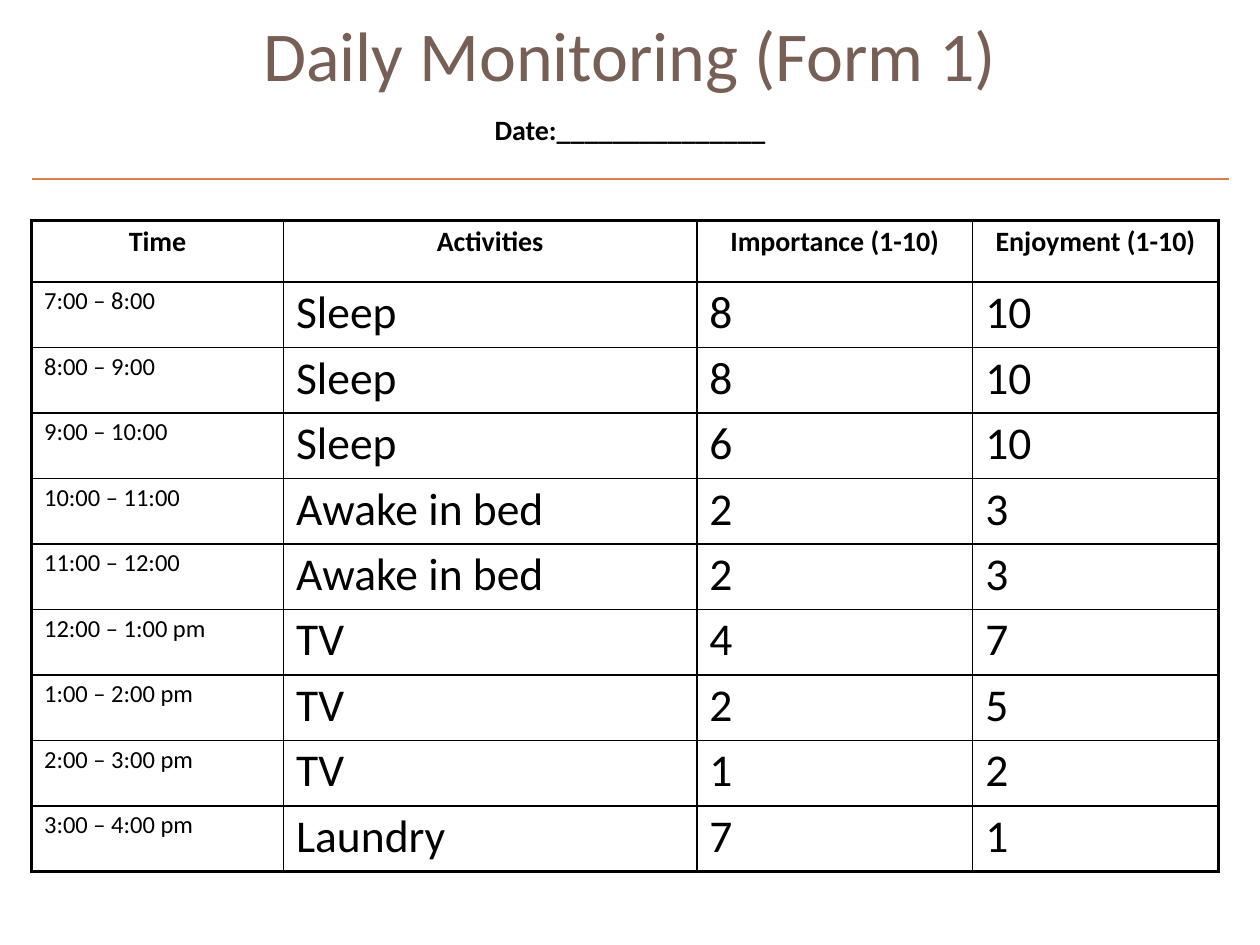
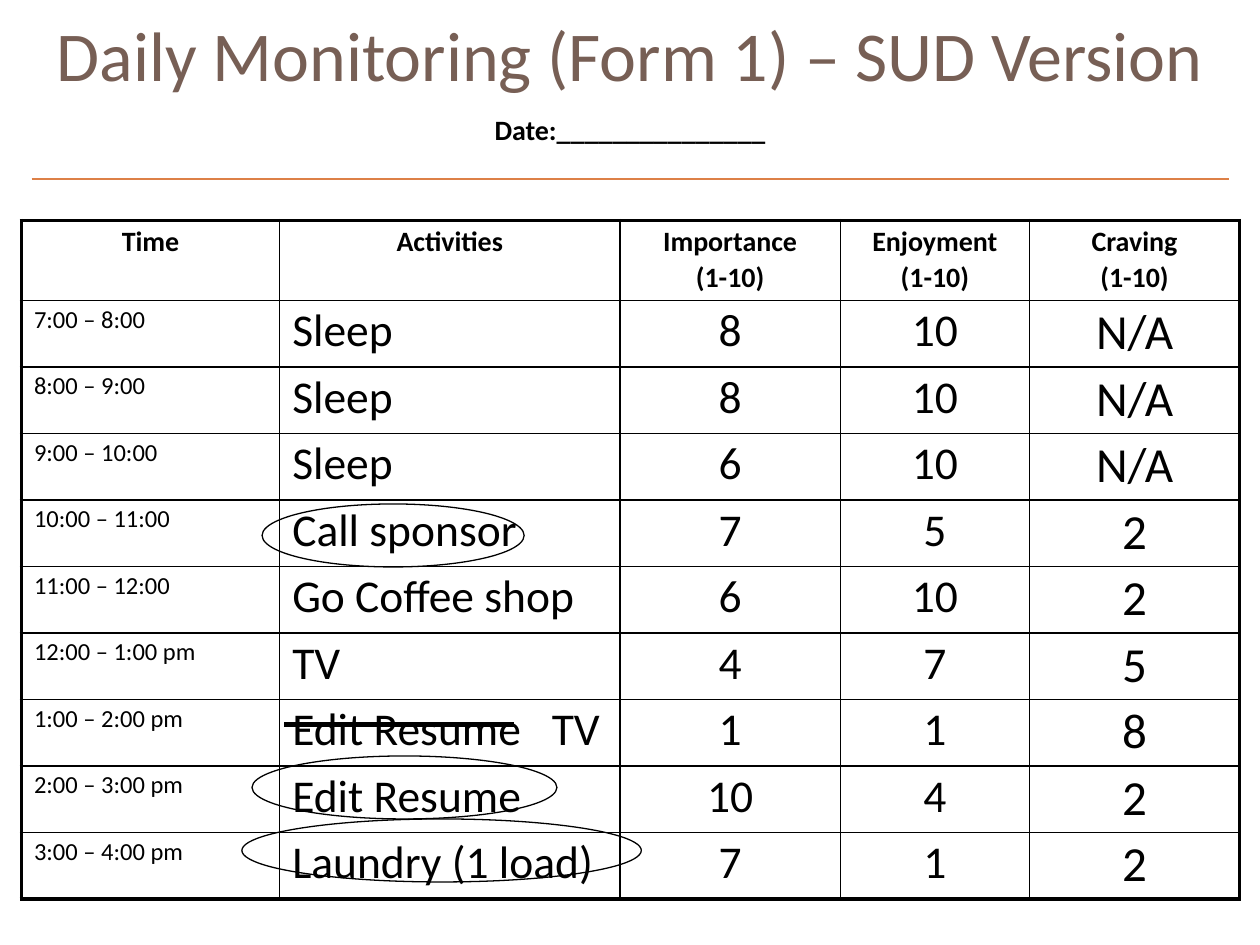
"""Build two daily monitoring forms: a general one and a SUD version."""
from lxml import etree
from pptx import Presentation
from pptx.dml.color import RGBColor
from pptx.enum.shapes import MSO_CONNECTOR, MSO_SHAPE
from pptx.enum.text import MSO_ANCHOR, MSO_AUTO_SIZE, PP_ALIGN
from pptx.oxml.ns import qn
from pptx.util import Inches, Pt

STRAIGHT = MSO_CONNECTOR.STRAIGHT
ELLIPSE = MSO_SHAPE.OVAL
MIDDLE = MSO_ANCHOR.MIDDLE
NO_AUTOFIT = MSO_AUTO_SIZE.NONE
LEFT, CENTER = PP_ALIGN.LEFT, PP_ALIGN.CENTER

COLORS = {"title": "775F55", "ink": "000000", "rule": "DD8047"}
FONT = "Calibri"
TITLE_ONLY_LAYOUT = 5
TABLE_TOP = 1.75
HEADER_HEIGHT, ROW_HEIGHT = 0.49, 0.52
THIN, THICK = 1, 2.25
TV_TAB = 2.06

HOURS = [
    "7:00 – 8:00", "8:00 – 9:00", "9:00 – 10:00", "10:00 – 11:00", "11:00 – 12:00",
    "12:00 – 1:00 pm", "1:00 – 2:00 pm", "2:00 – 3:00 pm", "3:00 – 4:00 pm",
]

GENERAL_FORM = {
    "title": "Daily Monitoring (Form 1)",
    "left": 0.25,
    "widths": [2, 3.28, 2.19, 1.95],
    "headers": ["Time", "Activities", "Importance (1-10)", "Enjoyment (1-10)"],
    "sizes": [14, 26, 26, 26],
    "aligns": [LEFT, LEFT, LEFT, LEFT],
    "entries": [
        ("Sleep", 8, 10), ("Sleep", 8, 10), ("Sleep", 6, 10),
        ("Awake in bed", 2, 3), ("Awake in bed", 2, 3),
        ("TV", 4, 7), ("TV", 2, 5), ("TV", 1, 2), ("Laundry", 7, 1),
    ],
}

SUD_FORM = {
    "title": "Daily Monitoring (Form 1) – SUD Version",
    "left": 0.17,
    "widths": [2.05, 2.7, 1.75, 1.5, 1.67],
    "headers": ["Time", "Activities", "Importance\n(1-10)", "Enjoyment\n(1-10)",
                "Craving\n(1-10)"],
    "sizes": [14, 26, 26, 26, 28],
    "aligns": [LEFT, LEFT, CENTER, CENTER, CENTER],
    "entries": [
        ("Sleep", 8, 10, "N/A"), ("Sleep", 8, 10, "N/A"), ("Sleep", 6, 10, "N/A"),
        ("Call sponsor", 7, 5, 2), ("Go Coffee shop", 6, 10, 2), ("TV", 4, 7, 5),
        ("Edit Resume\tTV", 1, 1, 8), ("Edit Resume", 10, 4, 2),
        ("Laundry (1 load)", 7, 1, 2),
    ],
}

CIRCLED_ACTIVITIES = [(2.08, 4, 2.08), (2, 6, 2.42), (1.92, 6.5, 3.17)]


def rgb(name):
    """Return the named palette colour."""
    return RGBColor.from_string(COLORS[name])


def write(paragraph, text, size, color="ink", bold=False, align=CENTER):
    """Put formatted text into a paragraph."""
    paragraph.alignment = align
    run = paragraph.add_run()
    run.text = text
    run.font.name = FONT
    run.font.size = Pt(size)
    run.font.bold = bold
    run.font.color.rgb = rgb(color)


def space_cell_paragraph(paragraph, text):
    """Set table line spacing, and a tab stop where the text has a tab."""
    paragraph.line_spacing = 0.9
    properties = paragraph._p.get_or_add_pPr()
    before = etree.SubElement(properties, qn("a:spcBef"))
    etree.SubElement(before, qn("a:spcPct"), val="20000")
    if "\t" in text:
        stops = etree.SubElement(properties, qn("a:tabLst"))
        etree.SubElement(stops, qn("a:tab"), pos=str(Inches(TV_TAB)), algn="l")


def set_borders(cell, widths):
    """Draw the cell's left, right, top and bottom borders."""
    properties = cell._tc.get_or_add_tcPr()
    for side, width in zip("LRTB", widths):
        border = etree.SubElement(properties, qn(f"a:ln{side}"), w=str(Pt(width)))
        fill = etree.SubElement(border, qn("a:solidFill"))
        etree.SubElement(fill, qn("a:srgbClr"), val=COLORS["ink"])


def add_line(slide, start, end, color, width):
    """Add a straight line without a shadow."""
    line = slide.shapes.add_connector(
        STRAIGHT, *(Inches(value) for value in (*start, *end)))
    line.line.color.rgb = rgb(color)
    line.line.width = Pt(width)
    etree.SubElement(line._element.spPr, qn("a:effectLst"))


def add_circle_mark(slide, left, top, width):
    """Circle an activity with an unfilled ellipse."""
    mark = slide.shapes.add_shape(
        ELLIPSE, Inches(left), Inches(top), Inches(width), Inches(0.5))
    mark.shadow.inherit = False
    mark.fill.background()
    mark.line.color.rgb = rgb("ink")
    mark.line.width = Pt(0.75)


def add_title(slide, text):
    """Fill the title placeholder with the form name and the date line."""
    title = slide.shapes.title
    title.left, title.top = Inches(0), Inches(0)
    title.width, title.height = Inches(10), Inches(1.25)
    frame = title.text_frame
    frame.word_wrap = True
    frame.auto_size = NO_AUTOFIT
    frame.vertical_anchor = MIDDLE
    write(frame.paragraphs[0], text, 40, color="title")
    date = frame.add_paragraph()
    date.space_before = Pt(10)
    write(date, "Date:" + "_" * 15, 16, bold=True)


def add_schedule(slide, form):
    """Add the hourly table with a thick outer frame."""
    rows = [form["headers"]]
    rows += [(hour, *entry) for hour, entry in zip(HOURS, form["entries"])]
    last_row, last_column = len(rows) - 1, len(form["widths"]) - 1
    schedule = slide.shapes.add_table(
        len(rows), len(form["widths"]), Inches(form["left"]), Inches(TABLE_TOP),
        Inches(sum(form["widths"])), Inches(HEADER_HEIGHT + ROW_HEIGHT * last_row)).table
    schedule.first_row = schedule.horz_banding = False
    for column, width in zip(schedule.columns, form["widths"]):
        column.width = Inches(width)
    for r, values in enumerate(rows):
        is_header = r == 0
        schedule.rows[r].height = Inches(HEADER_HEIGHT if is_header else ROW_HEIGHT)
        for c, value in enumerate(values):
            cell = schedule.cell(r, c)
            outer = (c == 0, c == last_column, is_header, r == last_row)
            set_borders(cell, [THICK if edge else THIN for edge in outer])
            cell.fill.background()
            for i, text in enumerate(str(value).split("\n")):
                frame = cell.text_frame
                paragraph = frame.add_paragraph() if i else frame.paragraphs[0]
                space_cell_paragraph(paragraph, text)
                write(paragraph, text, 16 if is_header else form["sizes"][c],
                      bold=is_header, align=CENTER if is_header else form["aligns"][c])


def add_form(deck, form):
    """Add a slide with the title, the schedule and the rule between them."""
    slide = deck.slides.add_slide(deck.slide_layouts[TITLE_ONLY_LAYOUT])
    add_title(slide, form["title"])
    add_schedule(slide, form)
    add_line(slide, (0.25, 1.42), (9.75, 1.42), "rule", 0.75)
    return slide


def main():
    """Build and save both forms."""
    deck = Presentation()
    deck.slide_width, deck.slide_height = Inches(10), Inches(7.5)
    add_form(deck, GENERAL_FORM)
    sud_slide = add_form(deck, SUD_FORM)
    add_line(sud_slide, (4.08, 5.75), (2.25, 5.75), "ink", 3)
    for left, top, width in CIRCLED_ACTIVITIES:
        add_circle_mark(sud_slide, left, top, width)
    deck.save("out.pptx")


if __name__ == "__main__":
    main()
